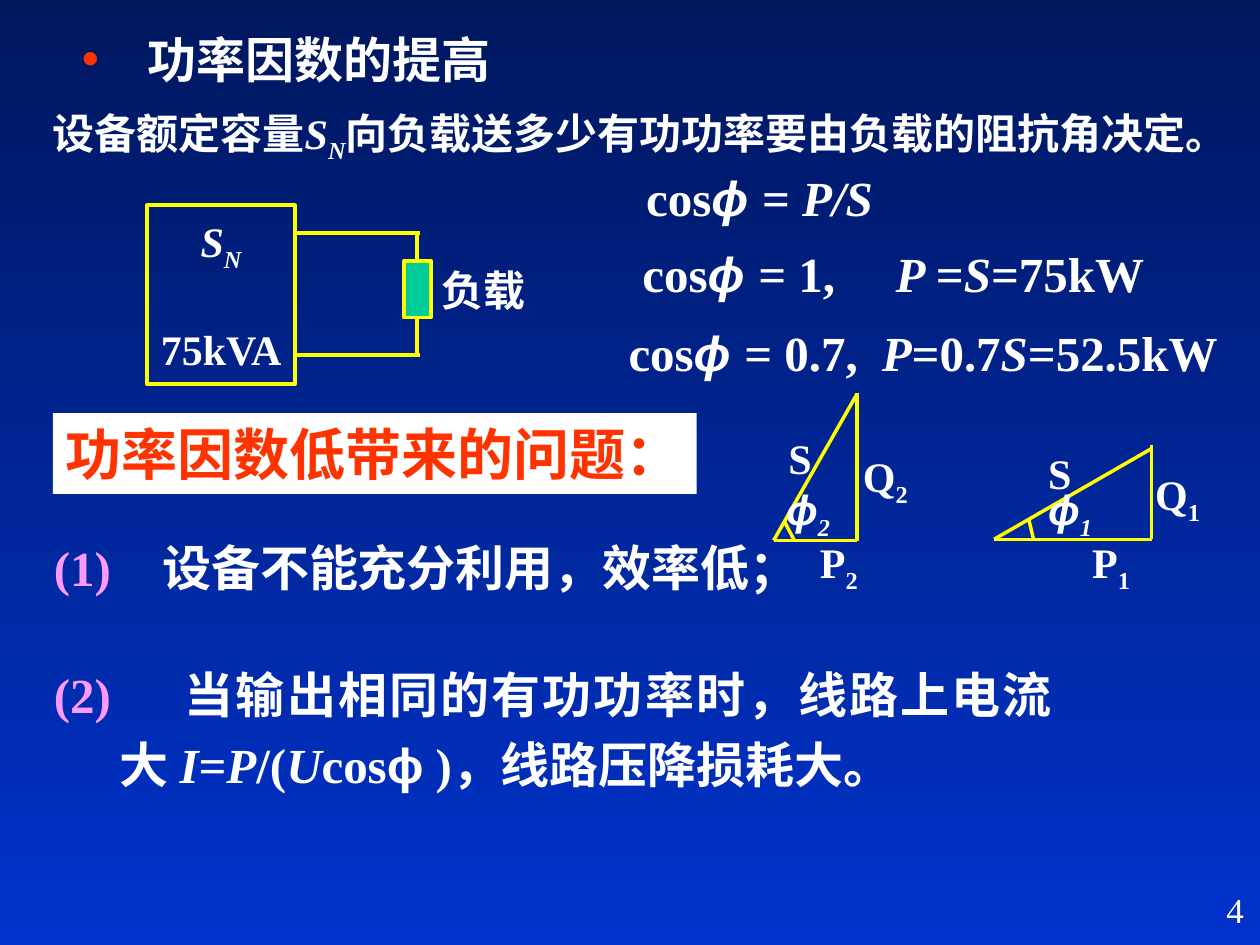
from lxml.etree import SubElement
from pptx import Presentation
from pptx.dml.color import RGBColor
from pptx.enum.shapes import MSO_CONNECTOR, MSO_SHAPE
from pptx.enum.text import MSO_ANCHOR as Anchor, PP_ALIGN as Align
from pptx.oxml.ns import qn
from pptx.util import Inches, Pt

WHITE = RGBColor(0xFF, 0xFF, 0xFF)
YELLOW = RGBColor(0xFF, 0xFF, 0x00)
RED = RGBColor(0xFF, 0x33, 0x00)
PINK = RGBColor(0xFF, 0x99, 0xFF)
GREEN = RGBColor(0x00, 0xCC, 0x99)
NAVY = RGBColor(0x00, 0x17, 0x5E)
BLUE = RGBColor(0x00, 0x33, 0xCC)
SERIF, SANS = "Times New Roman", "Arial"

# The slide is a grid of 100 columns by 75 rows.
SLIDE_WIDTH, SLIDE_HEIGHT = Inches(10), Inches(7.5)
COLUMN, ROW = SLIDE_WIDTH / 100, SLIDE_HEIGHT / 75

# A run is (text, style): i italic, s subscript, f sans font, p pink.
TITLE = [("功率因数的提高", "")]
INTRO = [("设备额定容量", ""), ("S", "i"), ("N", "is"),
         ("向负载送多少有功功率要由负载的阻抗角决定。", "")]
COSINE = [("cos", ""), ("ϕ ", "fi")]
FORMULAS = [
    ((50.3, 12.8, 34.1, 5.7), [("= ", ""), ("P/S", "i")]),
    ((50, 18.8, 47.2, 5.7),
     [("= 1,\t", ""), ("P ", "i"), ("=", ""), ("S", "i"), ("=75kW", "")]),
    ((48.9, 25.1, 50, 5.7),
     [("= 0.7,\t", ""), ("P", "i"), ("=0.7", ""), ("S", "i"), ("=52.5kW", "")]),
]
FORMULA_TAB = 20.1
SOURCE_LABEL = [[("S", "i"), ("N", "is")], [("75kVA", "")]]
# The second problem tabs past its hanging indent to reach its own stop.
PROBLEMS = [
    dict(box=(3.3, 42.2, 66, 5.7), hanging=8.6, tab=8.6, line_spacing=1,
         align=Align.LEFT,
         runs=[("(1)\t", "p"), ("设备不能充分利用，效率低；", "")]),
    dict(box=(3.3, 51.3, 81.2, 12.2), hanging=5.2, tab=7.8, line_spacing=1.2,
         align=Align.JUSTIFY,
         runs=[("(2)\t\t", "p"), ("当输出相同的有功功率时，线路上电流大 ", ""),
               ("I", "i"), ("=", ""), ("P", "i"), ("/(", ""), ("U", "i"),
               ("cos", ""), ("ϕ", "f"), (" )，线路压降损耗大。", "")]),
]
# apex and overhang: end of the hypotenuse, and how far the upright passes it
TRIANGLES = [
    dict(index="1", left=78.9, right=91.4, apex=35.6, base=42.8, overhang=0.3,
         tick=0.22, P=(85.7, 42.1), Q=(90.7, 36.7), S=(82.2, 35), angle=(82.2, 37.9)),
    dict(index="2", left=61.4, right=68, apex=31.3, base=42.9, overhang=0.1,
         tick=0.13, P=(64.1, 42.1), Q=(67.5, 35.3), S=(61.6, 33.8), angle=(61.4, 37.9)),
]


def place(box):
    left, top, width, height = box
    return [round(v) for v in (left * COLUMN, top * ROW, width * COLUMN, height * ROW)]


def write(shape, paragraphs, size=24, color=WHITE, bold=True, align=Align.LEFT,
          anchor=Anchor.MIDDLE, wrap=True, line_spacing=None, gap=0,
          first=0, hanging=0, bullet=None, tab=None):
    """Fill a shape with paragraphs of runs; first and hanging are in columns."""
    frame = shape.text_frame
    frame.word_wrap = wrap
    frame.vertical_anchor = anchor
    for number, runs in enumerate(paragraphs):
        paragraph = frame.add_paragraph() if number else frame.paragraphs[0]
        paragraph.alignment = align
        paragraph.line_spacing = line_spacing
        if number:
            paragraph.space_before = Pt(gap)
        properties = paragraph._p.get_or_add_pPr()
        if hanging:
            properties.set("marL", str(round((first + hanging) * COLUMN)))
            properties.set("indent", str(round(-hanging * COLUMN)))
        if bullet:
            bullet_color = SubElement(properties, qn("a:buClr"))
            SubElement(bullet_color, qn("a:srgbClr"), val=str(RED))
            SubElement(properties, qn("a:buFont"), typeface=SANS)
            SubElement(properties, qn("a:buChar"), char=bullet)
        if tab:
            tabs = SubElement(properties, qn("a:tabLst"))
            SubElement(tabs, qn("a:tab"), pos=str(round(tab * COLUMN)), algn="l")
        for text, style in runs:
            run = paragraph.add_run()
            run.text = text
            font = run.font
            font.name = SANS if "f" in style else SERIF
            font.size, font.bold, font.italic = Pt(size), bold, "i" in style
            font.color.rgb = PINK if "p" in style else color
            if "s" in style:
                font._element.set("baseline", "-25000")


def add_text(slide, box, paragraphs, **formatting):
    text_box = slide.shapes.add_textbox(*place(box))
    write(text_box, paragraphs, **formatting)
    return text_box


def add_box(slide, box, fill=None, line=None):
    shape = slide.shapes.add_shape(MSO_SHAPE.RECTANGLE, *place(box))
    shape.shadow.inherit = False
    if fill is None:
        shape.fill.background()
    else:
        shape.fill.solid()
        shape.fill.fore_color.rgb = fill
    if line is None:
        shape.line.fill.background()
    else:
        shape.line.color.rgb = line
        shape.line.width = Pt(2.25)
    return shape


def add_line(slide, start, end, width=2.0):
    ends = [round(v) for x, y in (start, end) for v in (x * COLUMN, y * ROW)]
    line = slide.shapes.add_connector(MSO_CONNECTOR.STRAIGHT, *ends)
    line.line.color.rgb = YELLOW
    line.line.width = Pt(width)
    SubElement(line._element.spPr, qn("a:effectLst"))


def add_circuit(slide):
    right, wire, top, bottom = 23.3, 33.1, 18.5, 28.2
    source = add_box(slide, (11.7, 16.3, 11.7, 14.2), line=YELLOW)
    write(source, SOURCE_LABEL, align=Align.CENTER, wrap=False, gap=29)
    for y in (top, bottom):
        add_line(slide, (right, y), (wire + 0.2, y), 2.25)
    add_line(slide, (wire, top), (wire, bottom), 2.25)
    add_box(slide, (wire - 1, 20.7, 2.1, 4.5), GREEN, YELLOW)
    add_text(slide, (33.6, 20.5, 9.6, 5), [[("负载", "")]], align=Align.CENTER)


def add_triangle(slide, triangle):
    left, right = triangle["left"], triangle["right"]
    apex, base, tick = triangle["apex"], triangle["base"], triangle["tick"]
    add_line(slide, (left, base), (right, apex))
    add_line(slide, (left, base), (right, base))
    add_line(slide, (right, base), (right, apex - triangle["overhang"]))
    add_line(slide, (left + tick * (right - left), base - tick * (base - apex)),
             (left + (right - left) / 4, base))
    index = triangle["index"]
    labels = {"P": [("P", ""), (index, "s")], "Q": [("Q", ""), (index, "s")],
              "S": [("S", "")], "angle": [("ϕ", "fi"), (index, "is")]}
    for name, runs in labels.items():
        add_text(slide, (*triangle[name], 6.7, 5.6), [runs], anchor=Anchor.TOP)


def main():
    presentation = Presentation()
    presentation.slide_width, presentation.slide_height = SLIDE_WIDTH, SLIDE_HEIGHT
    slide = presentation.slides.add_slide(presentation.slide_layouts[5])

    background = slide.background.fill
    background.gradient()
    background.gradient_angle = 270
    for stop, color in zip(background.gradient_stops, (NAVY, BLUE)):
        stop.color.rgb = color

    title = slide.shapes.title
    title.left, title.top, title.width, title.height = place((4.2, 1.8, 43.2, 5.7))
    write(title, [TITLE], size=28, first=1.3, hanging=5.2, bullet="•")
    add_text(slide, (3.2, 8, 99.9, 5.6), [INTRO])

    add_circuit(slide)
    for box, runs in FORMULAS:
        add_text(slide, box, [COSINE + runs], size=28, tab=FORMULA_TAB)

    heading = add_box(slide, (4.2, 32.8, 51.1, 6.4), WHITE)
    write(heading, [[("功率因数低带来的问题：", "")]], size=32, color=RED)
    for problem in PROBLEMS:
        add_text(slide, problem["box"], [problem["runs"]], size=28, anchor=Anchor.TOP,
                 align=problem["align"], hanging=problem["hanging"],
                 tab=problem["tab"], line_spacing=problem["line_spacing"])
    for triangle in TRIANGLES:
        add_triangle(slide, triangle)

    add_text(slide, (78.9, 70, 20.8, 5), [[("4", "")]], size=20, bold=False,
             align=Align.RIGHT, anchor=Anchor.TOP)
    presentation.save("out.pptx")


if __name__ == "__main__":
    main()
